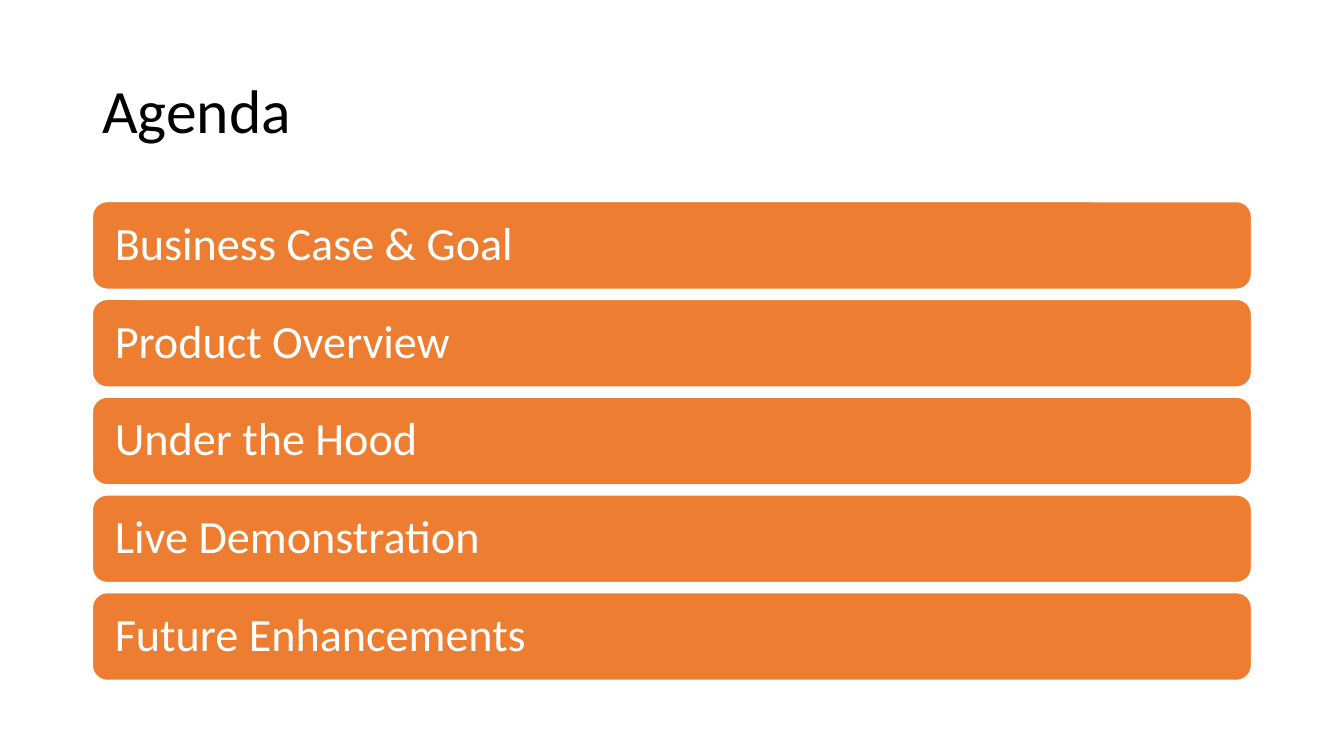
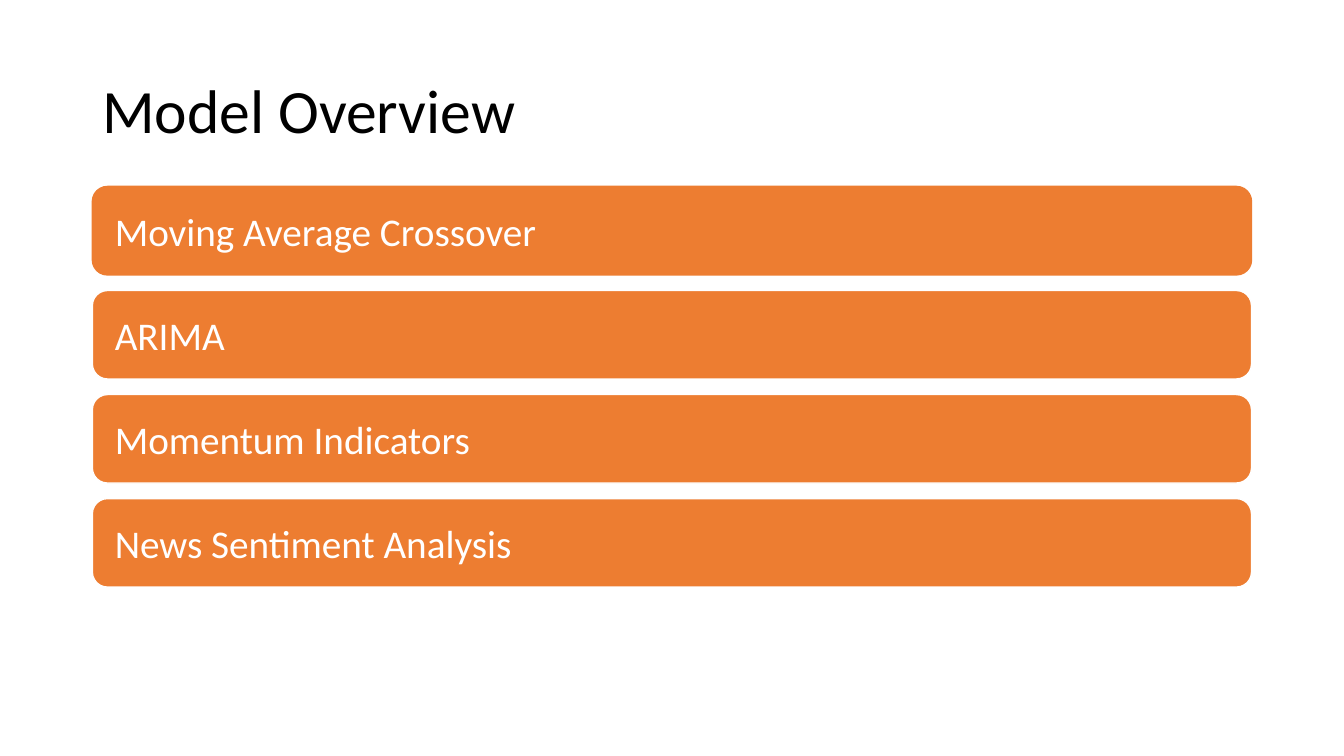
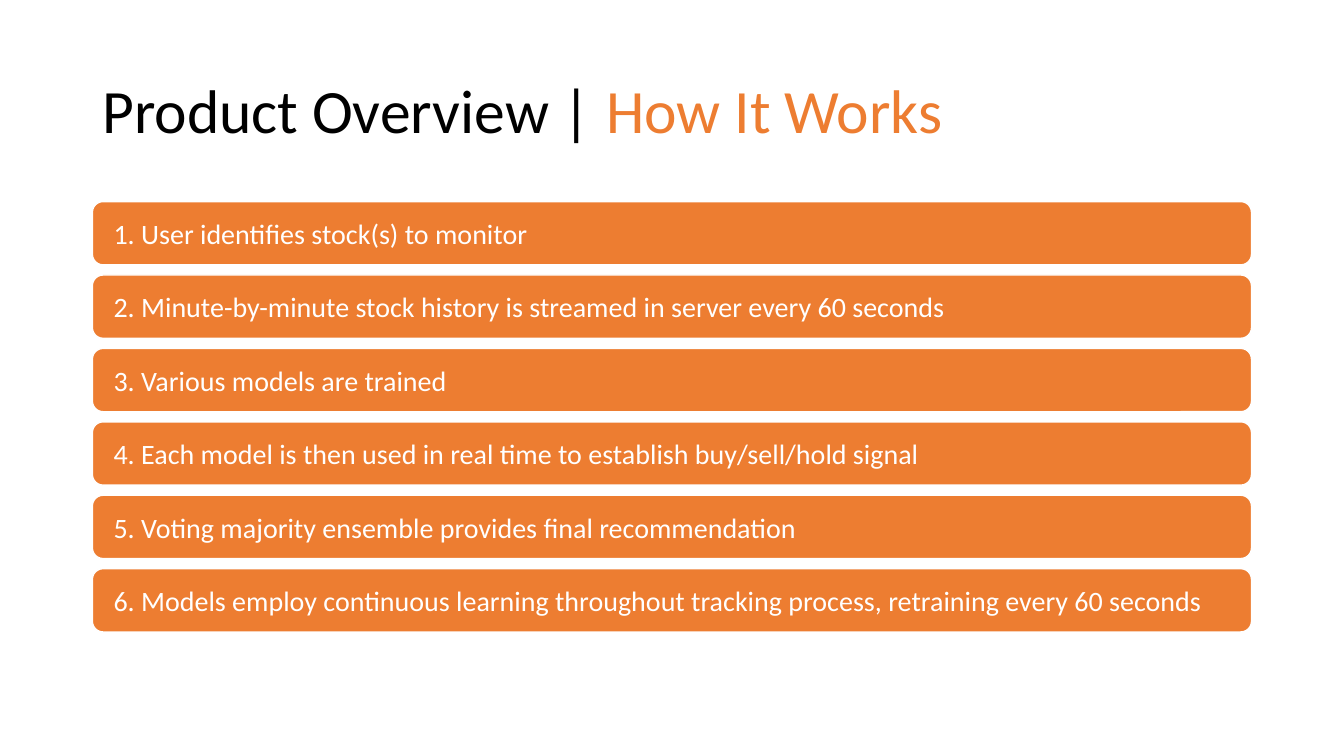
from collections import namedtuple

from pptx import Presentation
from pptx.dml.color import RGBColor
from pptx.enum.shapes import MSO_SHAPE as Preset
from pptx.enum.text import MSO_ANCHOR as Anchor, PP_ALIGN as Align
from pptx.util import Inches, Pt

FONT = "Calibri"
BLACK, WHITE, ORANGE = "000000", "FFFFFF", "ED7D31"

COLUMNS, ROWS = 160, 90
UNIT = Inches(7.5) / ROWS

Box = namedtuple("Box", "left top width height")
Agenda = namedtuple("Agenda", "title top height gap size spacing first_edge entries")

TITLE_BOX = Box(11, 4.8, 138, 17.4)
TITLE_SIZE = 44
TIGHT = 0.9
BAR_INSET = 2.15
CORNER_SHARE = 0.17

SLIDES = [
    Agenda([("Agenda", BLACK)], 24, 57, 1.2, 33, TIGHT, WHITE, [
        "Business Case & Goal",
        "Product Overview",
        "Under the Hood",
        "Live Demonstration",
        "Future Enhancements",
    ]),
    Agenda([("Model Overview", BLACK)], 22.2, 47.7, 1.85, 28, 1.0, ORANGE, [
        "Moving Average Crossover",
        "ARIMA",
        "Momentum Indicators",
        "News Sentiment Analysis",
    ]),
    Agenda([("Product Overview | ", BLACK), ("How It Works", ORANGE)],
           24, 51.24, 1.2, 20, 1.0, WHITE, [
        "1. User identifies stock(s) to monitor",
        "2. Minute-by-minute stock history is streamed in server every 60 seconds",
        "3. Various models are trained",
        "4. Each model is then used in real time to establish buy/sell/hold signal",
        "5. Voting majority ensemble provides final recommendation",
        "6. Models employ continuous learning throughout tracking process, "
        "retraining every 60 seconds",
    ]),
]


def color(hex_code):
    return RGBColor.from_string(hex_code)


def grid(length):
    return round(length * UNIT)


def place(box):
    return [grid(length) for length in box]


def write(frame, runs, size, spacing):
    frame.word_wrap = True
    frame.vertical_anchor = Anchor.MIDDLE
    paragraph = frame.paragraphs[0]
    paragraph.alignment = Align.LEFT
    paragraph.line_spacing = spacing
    for words, ink in runs:
        run = paragraph.add_run()
        run.text = words
        run.font.name = FONT
        run.font.size = Pt(size)
        run.font.color.rgb = color(ink)


def add_title(slide, box, runs):
    title = slide.shapes.add_textbox(*place(box))
    write(title.text_frame, runs, TITLE_SIZE, TIGHT)


def add_bar(slide, box, words, size, spacing, edge):
    bar = slide.shapes.add_shape(Preset.ROUNDED_RECTANGLE, *place(box))
    bar.adjustments[0] = CORNER_SHARE
    bar.shadow.inherit = False
    bar.fill.solid()
    bar.fill.fore_color.rgb = color(ORANGE)
    bar.line.color.rgb = color(edge)
    bar.line.width = Pt(1)
    frame = bar.text_frame
    frame.margin_left = frame.margin_right = grid(BAR_INSET)
    frame.margin_top = frame.margin_bottom = grid(BAR_INSET)
    write(frame, [(words, WHITE)], size, spacing)


def add_bar_list(slide, box, agenda):
    pitch = (box.height + agenda.gap) / len(agenda.entries)
    for row, words in enumerate(agenda.entries):
        bar_box = Box(box.left, box.top + row * pitch, box.width, pitch - agenda.gap)
        edge = WHITE if row else agenda.first_edge
        add_bar(slide, bar_box, words, agenda.size, agenda.spacing, edge)


def add_agenda_slide(deck, agenda):
    slide = deck.slides.add_slide(deck.slide_layouts[6])
    add_title(slide, TITLE_BOX, agenda.title)
    list_box = Box(TITLE_BOX.left, agenda.top, TITLE_BOX.width, agenda.height)
    add_bar_list(slide, list_box, agenda)


def main():
    deck = Presentation()
    deck.slide_width, deck.slide_height = grid(COLUMNS), grid(ROWS)
    for agenda in SLIDES:
        add_agenda_slide(deck, agenda)
    deck.save("out.pptx")


if __name__ == "__main__":
    main()
